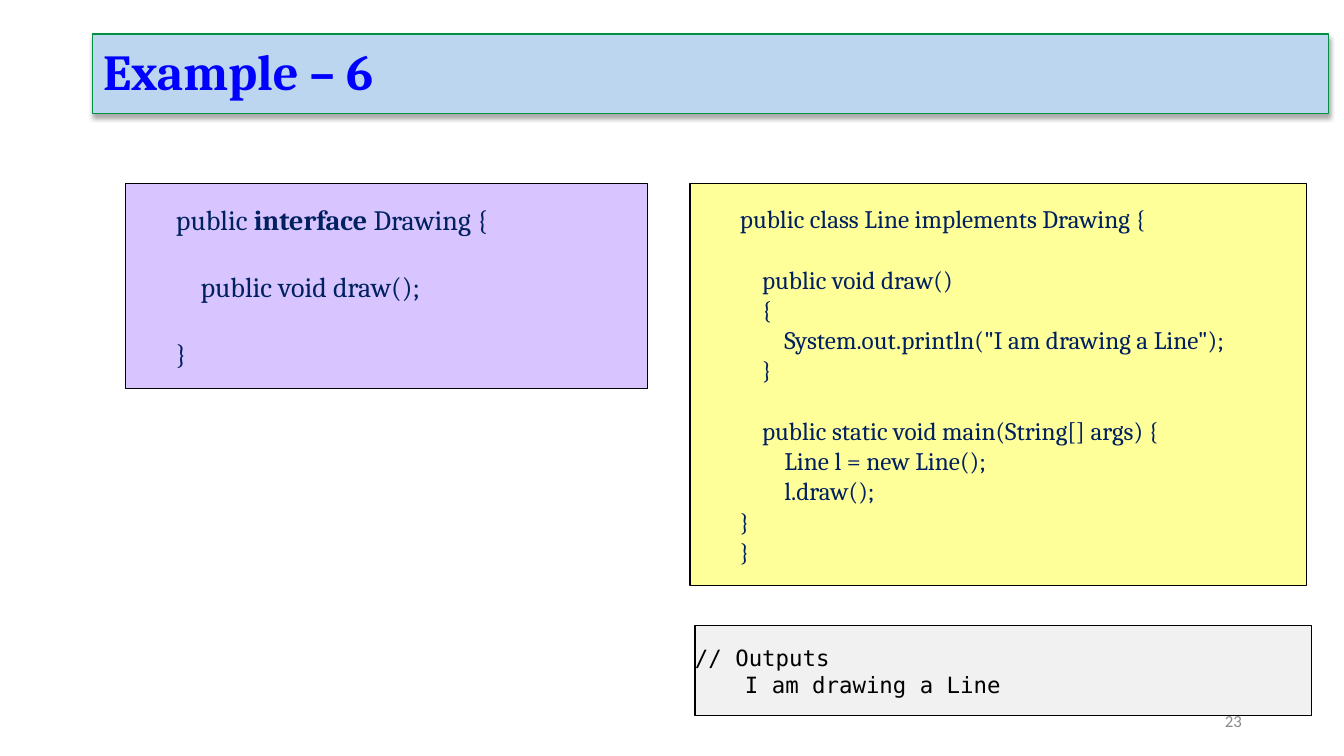
"""Build the slide that shows an interface, a class implementing it and the output."""
import lxml.etree
import pptx
import pptx.dml.color
import pptx.enum.shapes
import pptx.enum.text
import pptx.oxml
import pptx.util

PX = 914400 / 100.8
SLIDE_SIZE = (1344, 756)
INDENT = 50
LINE_PITCH = 1.2

HEADING = {"text": "Example – 6", "box": (93, 34, 1236, 80), "font": ("Cambria", 36, "0000FF")}
PAGE = {"text": "23", "box": (950, 701, 302, 40), "font": ("Calibri", 12, "888888")}

PANELS = [
    {
        "box": (690, 184, 617, 402), "fill": "FFFF99", "font": ("Cambria", 18, "002060"),
        "lines": [
            (1, "public class Line implements Drawing {"),
            (1, ""),
            (1, "    public void draw()"),
            (1, "    {"),
            (1, '        System.out.println("I am drawing a Line");'),
            (1, "    }"),
            (1, ""),
            (1, "    public static void main(String[] args) {"),
            (1, "        Line l = new Line();"),
            (1, "        l.draw();"),
            (1, "}"),
            (1, "}"),
        ],
    },
    {
        "box": (695, 626, 617, 90), "fill": "F1F1F1", "font": ("DejaVu Sans Mono", 16, "000000"),
        "lines": [(0, "// Outputs"), (1, "I am drawing a Line")],
    },
    {
        "box": (126, 184, 522, 205), "fill": "D8C5FF", "font": ("Cambria", 20, "002060"),
        "lines": [
            (1, "public **interface** Drawing {"),
            (1, ""),
            (1, "    public void draw();"),
            (1, ""),
            (1, "}"),
        ],
    },
]

SHADOW = (
    '<a:effectLst xmlns:a="http://schemas.openxmlformats.org/drawingml/2006/main">'
    '<a:outerShdw blurRad="44450" dist="27940" dir="5400000" algn="ctr" rotWithShape="0">'
    '<a:srgbClr val="000000"><a:alpha val="32000"/></a:srgbClr>'
    "</a:outerShdw></a:effectLst>"
)


def px(length):
    return round(length * PX)


def rgb(code):
    return pptx.dml.color.RGBColor.from_string(code)


def style(font, face, bold=False):
    font.name, size, color = face
    font.size = pptx.util.Pt(size)
    font.color.rgb = rgb(color)
    font.bold = bold


def paint(shape, fill, line):
    shape.fill.solid()
    shape.fill.fore_color.rgb = rgb(fill)
    shape.line.color.rgb = rgb(line)
    shape.line.width = pptx.util.Pt(0.75)


def set_frame(frame):
    frame.word_wrap = True
    frame.auto_size = pptx.enum.text.MSO_AUTO_SIZE.NONE
    frame.vertical_anchor = pptx.enum.text.MSO_ANCHOR.MIDDLE


def add_heading(slide):
    title = slide.shapes.title
    title.left, title.top, title.width, title.height = map(px, HEADING["box"])
    paint(title, "BBD6EE", "009242")
    title._element.spPr.append(pptx.oxml.parse_xml(SHADOW))
    set_frame(title.text_frame)
    title.text_frame.text = HEADING["text"]
    paragraph = title.text_frame.paragraphs[0]
    paragraph.alignment = pptx.enum.text.PP_ALIGN.LEFT
    paragraph.line_spacing = 0.9
    style(paragraph.runs[0].font, HEADING["font"], bold=True)


def add_page_number(slide):
    page = slide.shapes.add_textbox(*map(px, PAGE["box"]))
    set_frame(page.text_frame)
    page.text_frame.text = PAGE["text"]
    paragraph = page.text_frame.paragraphs[0]
    paragraph.alignment = pptx.enum.text.PP_ALIGN.RIGHT
    style(paragraph.runs[0].font, PAGE["font"])


def add_panel(slide, panel):
    rectangle = pptx.enum.shapes.MSO_SHAPE.RECTANGLE
    box = slide.shapes.add_shape(rectangle, *map(px, panel["box"]))
    box.shadow.inherit = False
    paint(box, panel["fill"], "000000")
    frame = box.text_frame
    set_frame(frame)
    frame.margin_left = frame.margin_right = 0
    frame.margin_top = frame.margin_bottom = px(17)

    paragraph = frame.paragraphs[0]
    gap = 0
    for number, (level, line) in enumerate(panel["lines"]):
        if not line:
            gap += panel["font"][1] * LINE_PITCH
            continue
        if number:
            paragraph = frame.add_paragraph()
        paragraph._p.get_or_add_pPr().set("marL", str(px(INDENT * level)))
        paragraph.alignment = pptx.enum.text.PP_ALIGN.LEFT
        if gap:
            paragraph.space_before = pptx.util.Pt(gap)
            gap = 0
        for part, words in enumerate(line.split("**")):
            run = paragraph.add_run()
            run.text = words
            style(run.font, panel["font"], bold=part % 2 == 1)


def main():
    deck = pptx.Presentation()
    deck.slide_width, deck.slide_height = map(px, SLIDE_SIZE)
    slide = deck.slides.add_slide(deck.slide_layouts[5])
    add_heading(slide)
    add_page_number(slide)
    for panel in PANELS:
        add_panel(slide, panel)
    deck.save("out.pptx")


if __name__ == "__main__":
    main()
